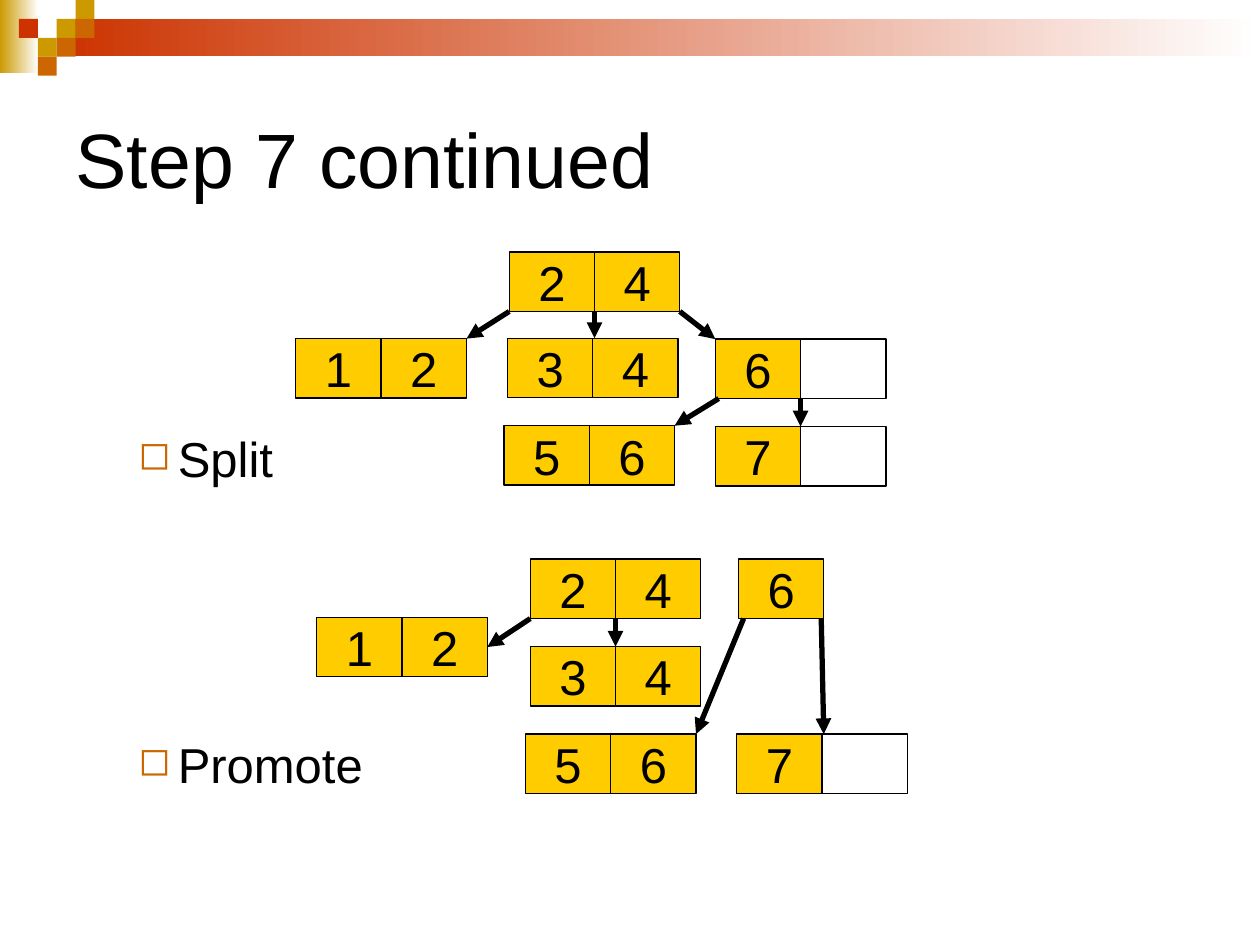
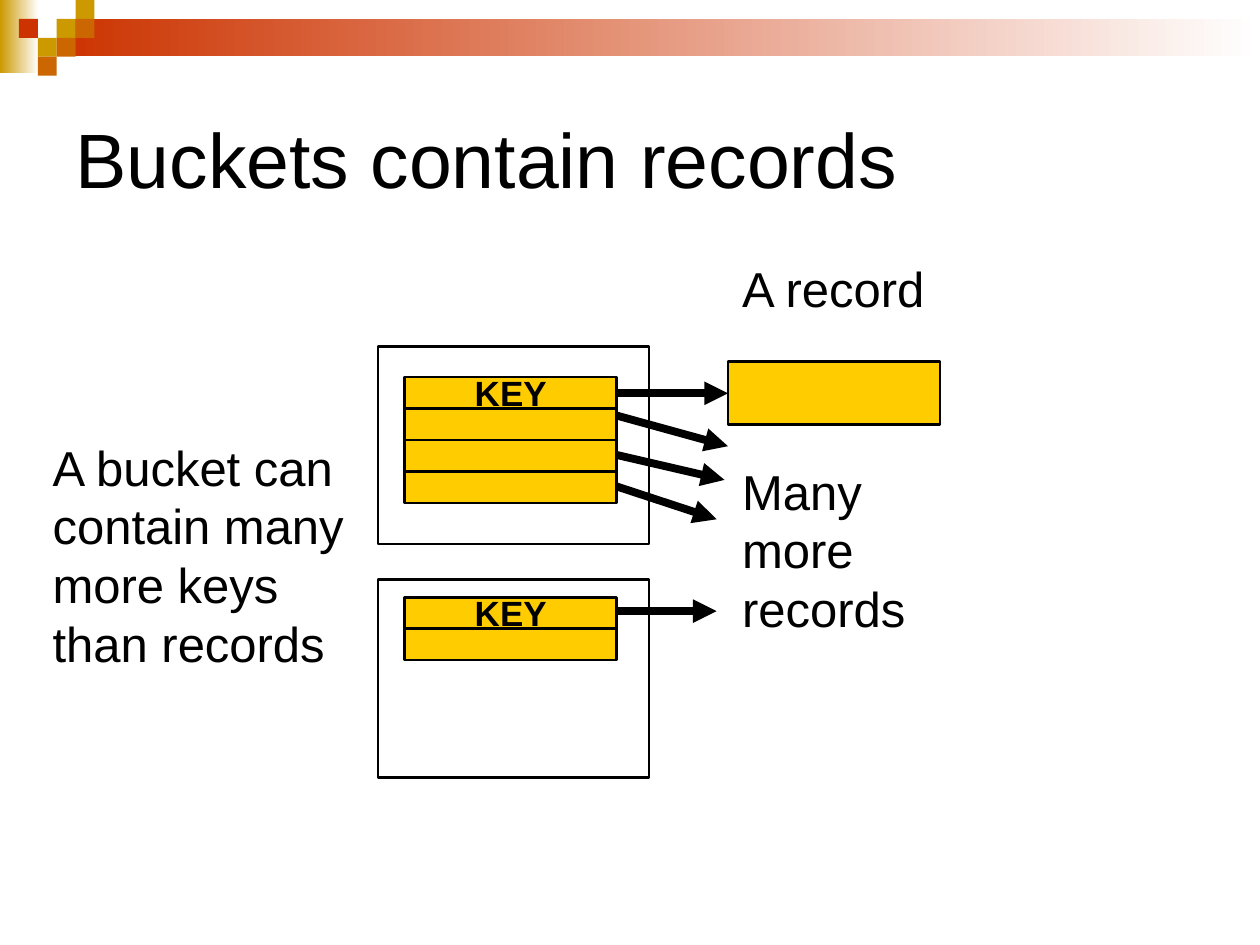
from lxml import etree
from pptx import Presentation
from pptx.dml.color import RGBColor
from pptx.enum.shapes import MSO_CONNECTOR, MSO_SHAPE
from pptx.enum.text import MSO_ANCHOR, MSO_AUTO_SIZE, PP_ALIGN
from pptx.oxml.ns import qn
from pptx.util import Pt

BLACK = RGBColor(0x00, 0x00, 0x00)
WHITE = RGBColor(0xFF, 0xFF, 0xFF)
YELLOW = RGBColor(0xFF, 0xCC, 0x00)
GOLD = RGBColor(0xCC, 0x99, 0x00)
ORANGE = RGBColor(0xCC, 0x66, 0x00)
RED = RGBColor(0xCC, 0x33, 0x00)
FONT = "Arial"

# Shared decoration: fading bands, then squares as (column, row, colour)
BANDS = [(0, 0, 22, 41.75, GOLD), (32.4, 10.8, 687.6, 21.25, RED)]
SQUARES = [(3, 1, GOLD), (4, 0, GOLD), (4, 1, ORANGE), (2, 2, GOLD),
           (1, 1, RED), (3, 2, ORANGE), (2, 3, ORANGE)]
SQUARE = 10.8

# Tree slide: nodes are (left, top, keys), an empty key is a free slot
TREE_TITLE = "Step 7 continued"
STEPS = ["Split", "Promote"]
STEP_GAP = 141
CELL_WIDTH, CELL_HEIGHT = 48.75, 34
SPLIT_NODES = {
    "root": (291, 144, ["2", "4"]),
    "1-2": (169.1, 193.5, ["1", "2"]),
    "3-4": (290, 193.25, ["3", "4"]),
    "6": (408.75, 193.75, ["6", ""]),
    "5-6": (288, 243.25, ["5", "6"]),
    "7": (408.75, 243.75, ["7", ""]),
}
PROMOTE_NODES = {
    "root": (303, 319.5, ["2", "4"]),
    "1-2": (181, 352.75, ["1", "2"]),
    "3-4": (303, 369.5, ["3", "4"]),
    "6": (422, 319.5, ["6"]),
    "5-6": (300.25, 419.5, ["5", "6"]),
    "7": (421, 419.5, ["7", ""]),
}
# Links: parent, share of its width along the bottom edge, child, (x, y) shares
SPLIT_LINKS = [
    ("root", 0, "1-2", (1, 0)), ("root", 0.5, "3-4", (0.51, 0)),
    ("root", 1, "6", (0, 0)), ("6", 0.02, "5-6", (1, 0)),
    ("6", 0.5, "7", (0.5, 0)),
]
PROMOTE_LINKS = [
    ("root", 0, "1-2", (1, 0.5)), ("root", 0.5, "3-4", (0.5, 0)),
    ("6", 0.06, "5-6", (1, 0)), ("6", 0.97, "7", (0.51, 0)),
]

# Bucket slide: buckets are (frame top, first row top, rows)
BUCKET_TITLE = "Buckets contain records"
BUCKETS = [(198, 215.5, ["KEY", "", "", ""]), (331.25, 341.25, ["KEY", ""])]
FRAME_LEFT, FRAME_WIDTH, FRAME_HEIGHT = 216, 155, 113
ROW_LEFT, ROW_WIDTH, ROW_HEIGHT = 231.25, 121.25, 18
RECORD = (416, 206.5, 121.25, 36)
RECORD_ARROWS = [  # start y, end x, end y
    (224.75, 416, 224.75), (237.5, 416, 255), (260, 414, 274.25),
    (278, 409.5, 296.75), (349.25, 409.5, 349.25),
]
LABELS = [  # left, top, width, height, text
    (23, 246.25, 190, 142, "A bucket can\ncontain many\nmore keys\nthan records"),
    (417, 144, 124, 41, "A record"),
    (417, 260, 108, 108, "Many\vmore\nrecords"),
]


def write(text_frame, text, size=28, bold=False, align=PP_ALIGN.LEFT, wrap=True,
          anchor=MSO_ANCHOR.TOP, bullet=False, gap=0):
    text_frame.text = text
    text_frame.word_wrap = wrap
    text_frame.vertical_anchor = anchor
    text_frame.auto_size = MSO_AUTO_SIZE.NONE
    for index, paragraph in enumerate(text_frame.paragraphs):
        paragraph.alignment = align
        if index:
            paragraph.space_before = Pt(gap)
        if bullet:
            add_bullet(paragraph)
        for run in paragraph.runs:
            run.font.name, run.font.size, run.font.bold = FONT, Pt(size), bold
            run.font.color.rgb = BLACK


def add_bullet(paragraph):
    properties = paragraph._p.get_or_add_pPr()
    properties.set("marL", str(Pt(58.5)))
    properties.set("indent", str(Pt(-22.5)))
    colour = etree.SubElement(properties, qn("a:buClr"))
    etree.SubElement(colour, qn("a:srgbClr"), val=str(ORANGE))
    etree.SubElement(properties, qn("a:buSzPct"), val="80000")
    etree.SubElement(properties, qn("a:buChar"), char="◻")


def add_text(slide, left, top, width, height, text, **text_format):
    box = slide.shapes.add_textbox(Pt(left), Pt(top), Pt(width), Pt(height))
    write(box.text_frame, text, **text_format)


def add_box(slide, left, top, width, height, fill=None, fade=False, line=None,
            text="", **text_format):
    shape = slide.shapes.add_shape(MSO_SHAPE.RECTANGLE, Pt(left), Pt(top),
                                   Pt(width), Pt(height))
    shape.shadow.inherit = False
    if fade:
        shape.fill.gradient()
        shape.fill.gradient_angle = 0
        for stop, colour in zip(shape.fill.gradient_stops, (fill, WHITE)):
            stop.color.rgb = colour
    elif fill is not None:
        shape.fill.solid()
        shape.fill.fore_color.rgb = fill
    else:
        shape.fill.background()
    if line:
        shape.line.color.rgb = BLACK
        shape.line.width = Pt(line)
    else:
        shape.line.fill.background()
    if text:
        write(shape.text_frame, text, align=PP_ALIGN.CENTER, wrap=False,
              anchor=MSO_ANCHOR.MIDDLE, **text_format)


def add_arrow(slide, start, end, width):
    points = [Pt(value) for value in (*start, *end)]
    arrow = slide.shapes.add_connector(MSO_CONNECTOR.STRAIGHT, *points)
    arrow.line.color.rgb = BLACK
    arrow.line.width = Pt(width)
    etree.SubElement(arrow.line._get_or_add_ln(), qn("a:tailEnd"), type="triangle")
    etree.SubElement(arrow._element.spPr, qn("a:effectLst"))


def add_slide(presentation, title_text):
    slide = presentation.slides.add_slide(presentation.slide_layouts[5])
    for left, top, width, height, colour in BANDS:
        add_box(slide, left, top, width, height, fill=colour, fade=True)
    for column, row, colour in SQUARES:
        add_box(slide, column * SQUARE, row * SQUARE, SQUARE, SQUARE, fill=colour)
    title = slide.shapes.title
    title.left, title.top, title.width, title.height = Pt(36), Pt(36), Pt(648), Pt(108)
    write(title.text_frame, title_text, size=44, anchor=MSO_ANCHOR.MIDDLE)
    return slide


def add_tree(slide, nodes, links):
    for left, top, keys in nodes.values():
        for index, key in enumerate(keys):
            add_box(slide, left + index * CELL_WIDTH, top, CELL_WIDTH, CELL_HEIGHT,
                    fill=YELLOW if key else WHITE, line=0.75, text=key)

    def point(name, x_share, y_share):
        left, top, keys = nodes[name]
        return (left + x_share * len(keys) * CELL_WIDTH, top + y_share * CELL_HEIGHT)

    for parent, share, child, target in links:
        add_arrow(slide, point(parent, share, 1), point(child, *target), 3)


def build_tree_slide(presentation):
    slide = add_slide(presentation, TREE_TITLE)
    add_tree(slide, SPLIT_NODES, SPLIT_LINKS)
    add_tree(slide, PROMOTE_NODES, PROMOTE_LINKS)
    add_text(slide, 36, 241.5, 240, 213, "\n".join(STEPS), bullet=True, gap=STEP_GAP)


def build_bucket_slide(presentation):
    slide = add_slide(presentation, BUCKET_TITLE)
    for frame_top, first_row, rows in BUCKETS:
        add_box(slide, FRAME_LEFT, frame_top, FRAME_WIDTH, FRAME_HEIGHT, line=1.5)
        for index, key in enumerate(rows):
            add_box(slide, ROW_LEFT, first_row + index * ROW_HEIGHT, ROW_WIDTH,
                    ROW_HEIGHT, fill=YELLOW, line=1.5, text=key, size=20, bold=True)
    add_box(slide, *RECORD, fill=YELLOW, line=1.5)
    for start_y, end_x, end_y in RECORD_ARROWS:
        add_arrow(slide, (ROW_LEFT + ROW_WIDTH, start_y), (end_x, end_y), 4.5)
    for label in LABELS:
        add_text(slide, *label)


def main():
    presentation = Presentation()
    presentation.slide_width, presentation.slide_height = Pt(720), Pt(540)
    build_tree_slide(presentation)
    build_bucket_slide(presentation)
    presentation.save("out.pptx")


if __name__ == "__main__":
    main()
